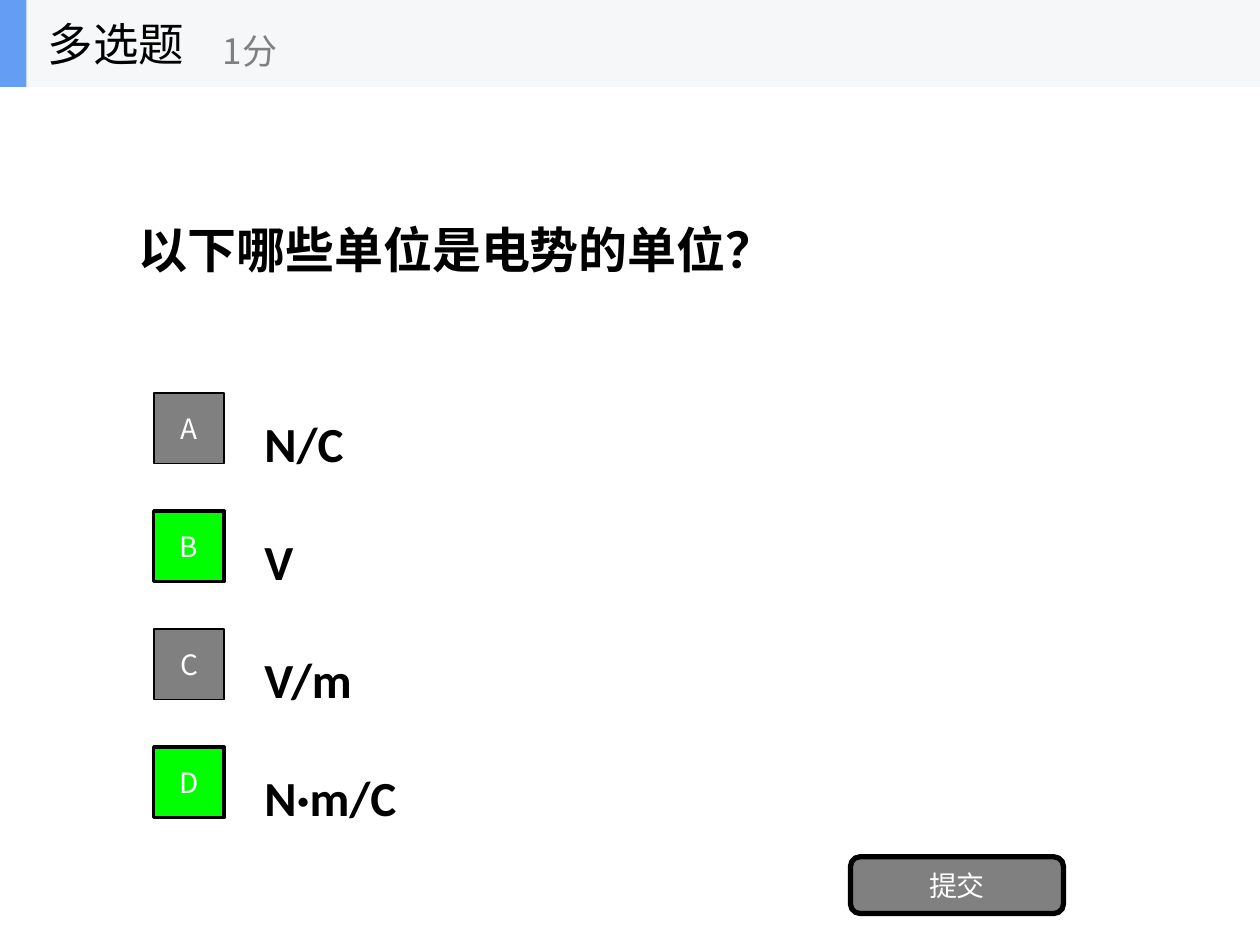
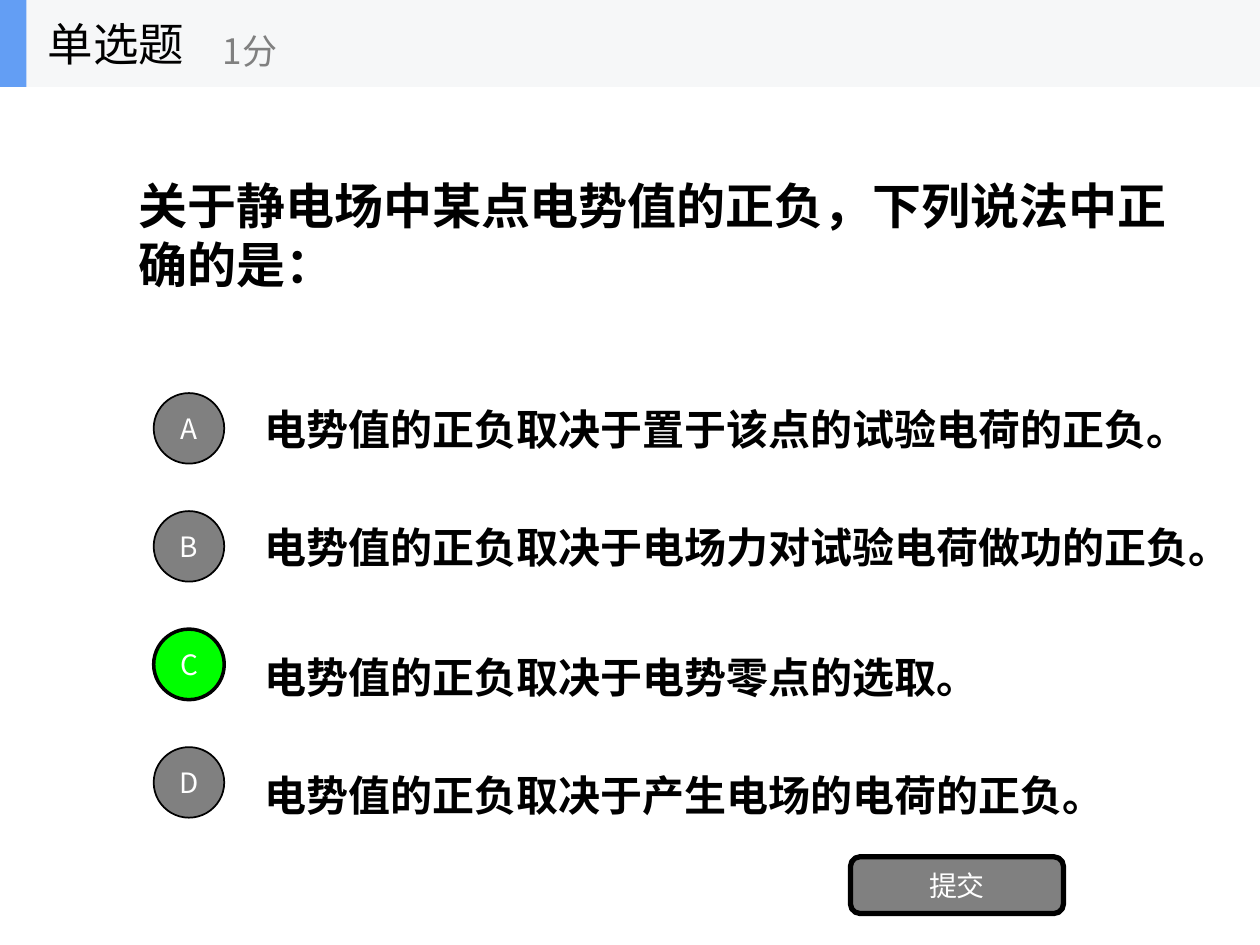
from dataclasses import dataclass

from lxml import etree
from pptx import Presentation
from pptx import util as u
from pptx.dml.color import RGBColor
from pptx.enum import shapes, text
from pptx.oxml import ns


@dataclass(frozen=True)
class Theme:
    black: str = "000000"
    white: str = "FFFFFF"
    grey: str = "808080"
    green: str = "00FF00"
    band: str = "F6F7F8"
    accent: str = "639EF4"
    strong_font: str = "Calibri"
    plain_font: str = "Noto Sans CJK SC"
    question: int = 28
    heading: int = 26
    points: int = 20
    label: int = 16


BAND_HEIGHT = 0.69
OPTION_TOP = 3.05
OPTION_STEP = (5.86 - OPTION_TOP) / 3
OPTION_HEIGHT = 0.7
BADGE_SIZE = 0.56
BADGE_INSET = (OPTION_HEIGHT - BADGE_SIZE) / 2

QUESTIONS = [
    dict(
        kind="多选题",
        badge=shapes.MSO_SHAPE.RECTANGLE,
        question=("以下哪些单位是电势的单位？", 8, 1.5),
        option_size=28,
        correct="BD",
        options=[("N/C", 7, 1.5), ("V", 7, 1.5), ("V/m", 7, 1.5), ("N·m/C", 7, 1.5)],
    ),
    dict(
        kind="单选题",
        badge=shapes.MSO_SHAPE.OVAL,
        question=("关于静电场中某点电势值的正负，下列说法中正确的是：", 8.49, 1.0),
        option_size=24,
        correct="C",
        options=[
            ("电势值的正负取决于置于该点的试验电荷的正负。", 7.41, 1.0),
            ("电势值的正负取决于电场力对试验电荷做功的正负。", 7.72, 1.0),
            ("电势值的正负取决于电势零点的选取。", 7, 1.5),
            ("电势值的正负取决于产生电场的电荷的正负。", 7, 1.5),
        ],
    ),
]


class QuizDeck:
    def __init__(self, theme):
        self.theme = theme
        self.deck = Presentation()
        self.deck.slide_width = u.Inches(10)
        self.deck.slide_height = u.Inches(7.5)
        self.page = None

    def new_page(self):
        self.page = self.deck.slides.add_slide(self.deck.slide_layouts[5])
        self.page.background.fill.solid()
        self.page.background.fill.fore_color.rgb = RGBColor.from_string(self.theme.white)

    def set_text(self, box, words, size, color, strong=False, spacing=1.0,
                 align=text.PP_ALIGN.LEFT):
        frame = box.text_frame
        frame.text = words
        frame.word_wrap = True
        frame.auto_size = text.MSO_AUTO_SIZE.NONE
        frame.vertical_anchor = text.MSO_ANCHOR.MIDDLE
        para = frame.paragraphs[0]
        para.alignment = align
        para.line_spacing = spacing
        para._p.get_or_add_pPr().set("hangingPunct", "1")
        span = para.runs[0]
        span.font.size = u.Pt(size)
        span.font.bold = strong
        span.font.color.rgb = RGBColor.from_string(color)
        span.font.name = self.theme.strong_font if strong else self.theme.plain_font
        asian = etree.SubElement(span._r.get_or_add_rPr(), ns.qn("a:ea"))
        asian.set("typeface", self.theme.plain_font)

    def title(self, words, width, spacing):
        box = self.page.shapes.title
        box.left, box.top = u.Inches(1), u.Inches(BAND_HEIGHT)
        box.width, box.height = u.Inches(width), u.Inches(2.34)
        self.set_text(box, words, self.theme.question, self.theme.black, True, spacing)

    def label(self, place, words, size, color, parent=None, **style):
        holder = parent or self.page
        box = holder.shapes.add_textbox(*map(u.Inches, place))
        self.set_text(box, words, size, color, **style)

    def block(self, preset, place, fill, line=0, words="", parent=None):
        holder = parent or self.page
        box = holder.shapes.add_shape(preset, *map(u.Inches, place))
        box.shadow.inherit = False
        box.fill.solid()
        box.fill.fore_color.rgb = RGBColor.from_string(fill)
        if line:
            box.line.color.rgb = RGBColor.from_string(self.theme.black)
            box.line.width = u.Pt(line)
        else:
            box.line.fill.background()
        if words:
            self.set_text(box, words, self.theme.label, self.theme.white,
                          align=text.PP_ALIGN.CENTER)

    def options(self, entries, size, badge, correct):
        for row, (words, width, spacing) in enumerate(entries):
            top = OPTION_TOP + row * OPTION_STEP
            self.label((2, top, width, OPTION_HEIGHT), words, size, self.theme.black,
                       strong=True, spacing=spacing)
        for row, letter in enumerate("ABCD"):
            top = OPTION_TOP + row * OPTION_STEP + BADGE_INSET
            fill, line = (self.theme.green, 2) if letter in correct else (self.theme.grey, 1)
            self.block(badge, (1.22, top, BADGE_SIZE, BADGE_SIZE), fill, line, letter)

    def submit_button(self):
        self.block(shapes.MSO_SHAPE.ROUNDED_RECTANGLE, (6.75, 6.8, 1.69, 0.45),
                   self.theme.grey, 3, "提交")

    def header(self, kind):
        theme = self.theme
        group = self.page.shapes.add_group_shape()
        for width, fill in ((10, theme.band), (0.21, theme.accent)):
            self.block(shapes.MSO_SHAPE.RECTANGLE, (0, 0, width, BAND_HEIGHT), fill,
                       parent=group)
        self.label((0.28, 0, 2.08, BAND_HEIGHT), kind, theme.heading, theme.black, group)
        self.label((1.67, 0.12, 2.5, 0.56), "1分", theme.points, theme.grey, group)


def main():
    quiz = QuizDeck(Theme())
    for item in QUESTIONS:
        quiz.new_page()
        quiz.title(*item["question"])
        quiz.options(item["options"], item["option_size"], item["badge"], item["correct"])
        quiz.submit_button()
        quiz.header(item["kind"])
    quiz.deck.save("out.pptx")


if __name__ == "__main__":
    main()
